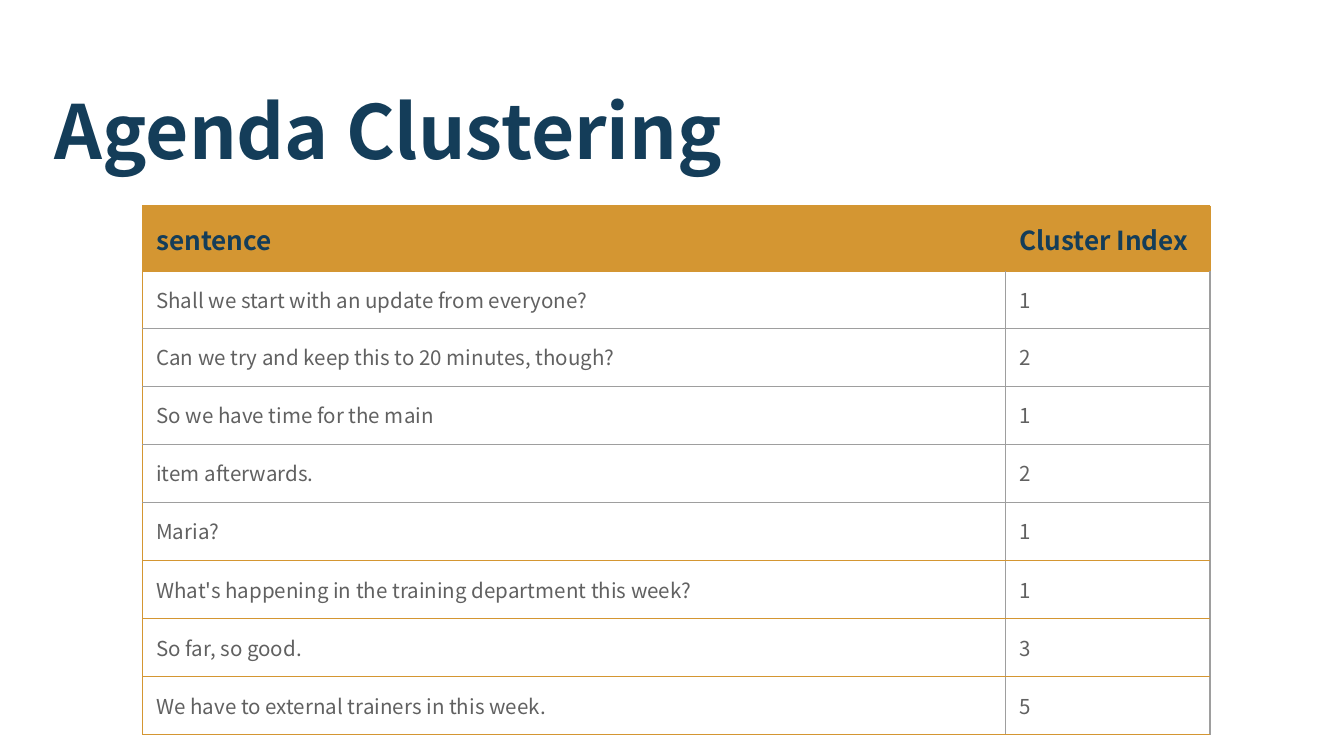
import pptx
import pptx.dml.color
import pptx.enum.text
import pptx.oxml
import pptx.oxml.ns
import pptx.util
from dataclasses import dataclass

Pt = pptx.util.Pt


@dataclass(frozen=True)
class Theme:
    font: str = "Noto Sans CJK KR"
    navy: str = "143D59"
    gold: str = "D49632"
    body: str = "616161"
    grid: str = "9E9E9E"
    title_size: int = 40
    header_size: int = 14
    body_size: int = 11
    inset: float = 7.2
    border: float = 0.75


THEME = Theme()
HEADER = ("sentence", "Cluster Index")
SENTENCES = [
    ("Shall we start with an update from everyone?", "1"),
    ("Can we try and keep this to 20 minutes, though?", "2"),
    ("So we have time for the main", "1"),
    ("item afterwards.", "2"),
    ("Maria?", "1"),
    ("What's happening in the training department this week?", "1"),
    ("So far, so good.", "3"),
    ("We have to external trainers in this week.", "5"),
]
FIRST_GOLD_RULE = 5  # row from which the lower borders turn gold


def rgb(value):
    return pptx.dml.color.RGBColor.from_string(value)


def write_text(tf, text, *, size, color, bold=False):
    tf.word_wrap = True
    r = tf.paragraphs[0].add_run()
    r.text = text
    r.font.name = THEME.font
    r.font.size = Pt(size)
    r.font.bold = bold
    r.font.color.rgb = rgb(color)


def add_title(s, text):
    sp = s.shapes.add_textbox(Pt(22.3), Pt(38.2), Pt(680), Pt(72))
    tf = sp.text_frame
    tf.margin_left = tf.margin_right = Pt(THEME.inset)
    tf.margin_top = tf.margin_bottom = Pt(THEME.inset)
    write_text(tf, text, size=THEME.title_size, color=THEME.navy, bold=True)


def set_borders(cell, colors):
    """Draw the cell's borders; colors are left, right, top, bottom."""
    props = cell._tc.get_or_add_tcPr()
    for i, (side, color) in enumerate(zip("LRTB", colors)):
        line = pptx.oxml.parse_xml(
            f'<a:ln{side} {pptx.oxml.ns.nsdecls("a")} w="{Pt(THEME.border)}">'
            f'<a:solidFill><a:srgbClr val="{color}"/></a:solidFill></a:ln{side}>')
        props.insert(i, line)


def rule_color(row):
    """Colour of the horizontal rule under a row."""
    return THEME.gold if row <= 0 or row >= FIRST_GOLD_RULE else THEME.grid


def fill_cell(cell, text, row, col):
    header = row == 0
    cell.margin_left = cell.margin_right = Pt(THEME.inset)
    cell.margin_top = cell.margin_bottom = Pt(THEME.inset)
    if header:
        cell.fill.solid()
        cell.fill.fore_color.rgb = rgb(THEME.gold)
    else:
        cell.fill.background()
    left = THEME.gold if header or col == 0 else THEME.grid
    right = THEME.gold if header else THEME.grid
    set_borders(cell, (left, right, rule_color(row - 1), rule_color(row)))
    write_text(cell.text_frame, text, bold=header,
               size=THEME.header_size if header else THEME.body_size,
               color=THEME.navy if header else THEME.body)


def add_cluster_table(s, rows):
    widths = (462.2, 109.5)
    heights = [34.7, 30.7] + [31.1] * (len(rows) - 2)
    frame = s.shapes.add_table(len(rows), len(widths), Pt(76.5), Pt(110.4),
                               Pt(sum(widths)), Pt(sum(heights)))
    table = frame.table
    table.horz_banding = False
    for column, width in zip(table.columns, widths):
        column.width = Pt(width)
    for i, (values, height) in enumerate(zip(rows, heights)):
        table.rows[i].height = Pt(height)
        for j, text in enumerate(values):
            fill_cell(table.cell(i, j), text, i, j)


def main():
    prs = pptx.Presentation()
    prs.slide_width, prs.slide_height = Pt(720), Pt(405)
    s = prs.slides.add_slide(prs.slide_layouts[6])
    add_cluster_table(s, [HEADER] + SENTENCES)
    add_title(s, "Agenda Clustering")
    prs.save("out.pptx")


if __name__ == "__main__":
    main()
